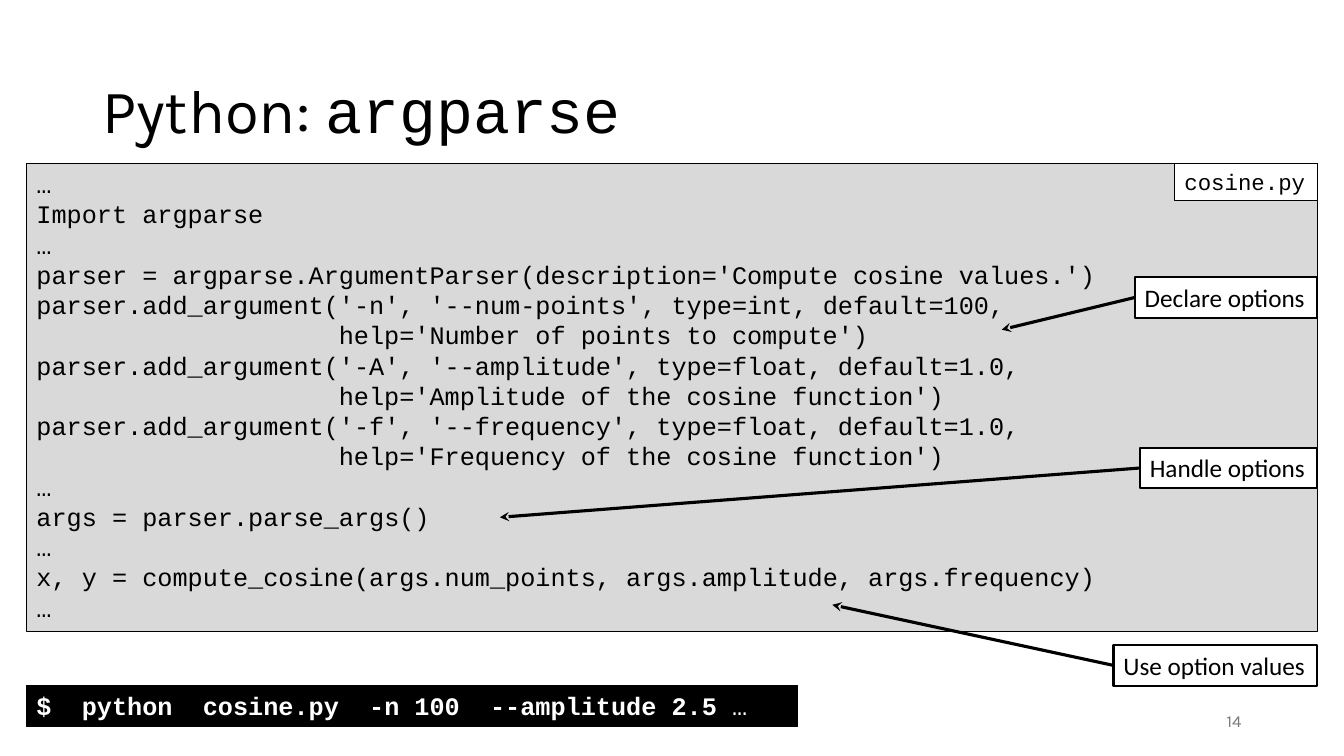
from pptx import Presentation
from pptx.dml.color import RGBColor
from pptx.enum.shapes import MSO_CONNECTOR as Link, MSO_SHAPE as Kind
from pptx.enum.text import MSO_ANCHOR as Anchor, PP_ALIGN as Align
from pptx.oxml.ns import qn
from pptx.util import Pt
from lxml.etree import SubElement

BLACK = RGBColor(0x00, 0x00, 0x00)
WHITE = RGBColor(0xFF, 0xFF, 0xFF)
PALE = RGBColor(0xD9, 0xD9, 0xD9)
GREY = RGBColor(0x79, 0x79, 0x79)

MONO = "Courier New"
TITLE = {"name": "Karla", "size": Pt(44)}
PAGE = {"name": "Karla", "size": Pt(12)}
CODE = {"name": MONO, "size": Pt(18)}
FILE = {"name": MONO, "size": Pt(16)}
SHELL = {"name": MONO, "size": Pt(18), "bold": True}
NOTE = {"name": "Calibri", "size": Pt(18)}

EDGE = 941  # shared right edge of code box and labels
INDENT = 20 * 10.8  # twenty monospaced characters at 18 pt


def write(para, text, font, color=BLACK):
    run = para.add_run()
    run.text = text
    for key, value in font.items():
        setattr(run.font, key, value)
    run.font.color.rgb = color


def panel(left, top, width, height, fill, line, wrap=True):
    """Add a bordered box and return it with its first paragraph."""
    box = slide.shapes.add_shape(
        Kind.RECTANGLE, Pt(left), Pt(top), Pt(width), Pt(height))
    box.shadow.inherit = False
    box.fill.solid()
    box.fill.fore_color.rgb = fill
    box.line.color.rgb = BLACK
    box.line.width = Pt(line)
    frame = box.text_frame
    frame.word_wrap = wrap
    frame.vertical_anchor = Anchor.TOP
    para = frame.paragraphs[0]
    para.alignment = Align.LEFT
    return box, para


deck = Presentation()
deck.slide_width, deck.slide_height = Pt(960), Pt(540)
slide = deck.slides.add_slide(deck.slide_layouts[6])

# Title and page number
head = slide.shapes.add_textbox(Pt(66), Pt(28.75), Pt(828), Pt(104.4))
page = slide.shapes.add_textbox(Pt(678), Pt(500.5), Pt(216), Pt(28.75))
for area in (head, page):
    area.text_frame.word_wrap = True
    area.text_frame.vertical_anchor = Anchor.MIDDLE
para = head.text_frame.paragraphs[0]
para.line_spacing = 0.9
write(para, "Python: ", TITLE)
write(para, "argparse", {**TITLE, "name": MONO})
para = page.text_frame.paragraphs[0]
para.alignment = Align.RIGHT
write(para, "14", PAGE, GREY)

# Code listing
lines = [
    "…",
    "Import argparse",
    "…",
    "parser = argparse.ArgumentParser(description='Compute cosine values.')",
    "parser.add_argument('-n', '--num-points', type=int, default=100,",
    "help='Number of points to compute')",
    "parser.add_argument('-A', '--amplitude', type=float, default=1.0,",
    "help='Amplitude of the cosine function')",
    "parser.add_argument('-f', '--frequency', type=float, default=1.0,",
    "help='Frequency of the cosine function')",
    "…",
    "args = parser.parse_args()",
    "…",
    "x, y = compute_cosine(args.num_points, args.amplitude, args.frequency)",
    "…",
]
code, para = panel(19, 116.8, EDGE - 19, 334.4, PALE, 0.75)
for i, text in enumerate(lines):
    if i:
        para = code.text_frame.add_paragraph()
        para.alignment = Align.LEFT
    if text.startswith("help="):
        para._p.get_or_add_pPr().set("marL", str(Pt(INDENT)))
    write(para, text, CODE)

tab, para = panel(EDGE - 102, 116.8, 102, 26.6, WHITE, 0.75, wrap=False)
write(para, "cosine.py", FILE)

# Labels with arrows: text, top, width, arrow tip
notes = [
    ("Declare options", 198, 130.4, (715.5, 235.5)),
    ("Handle options", 319.8, 126.8, (357, 369.5)),
    ("Use option values", 460.8, 145.6, (594.5, 432)),
]
for text, top, width, (x, y) in notes:
    box, para = panel(EDGE - width, top, width, 29, WHITE, 1.5, wrap=False)
    write(para, text, NOTE)
    arrow = slide.shapes.add_connector(
        Link.STRAIGHT, box.left, box.top + box.height // 2, Pt(x), Pt(y))
    arrow.begin_connect(box, 1)
    arrow.line.color.rgb = BLACK
    arrow.line.width = Pt(2.25)
    SubElement(arrow.line._get_or_add_ln(), qn("a:tailEnd"), type="stealth")
    SubElement(arrow._element.spPr, qn("a:effectLst"))

# Shell command
shell, para = panel(19, 489.8, 550.6, 29, BLACK, 0.75)
write(para, "$  python  cosine.py  -n 100  --amplitude 2.5 ", SHELL, WHITE)
write(para, "…", CODE, WHITE)

deck.save("out.pptx")
